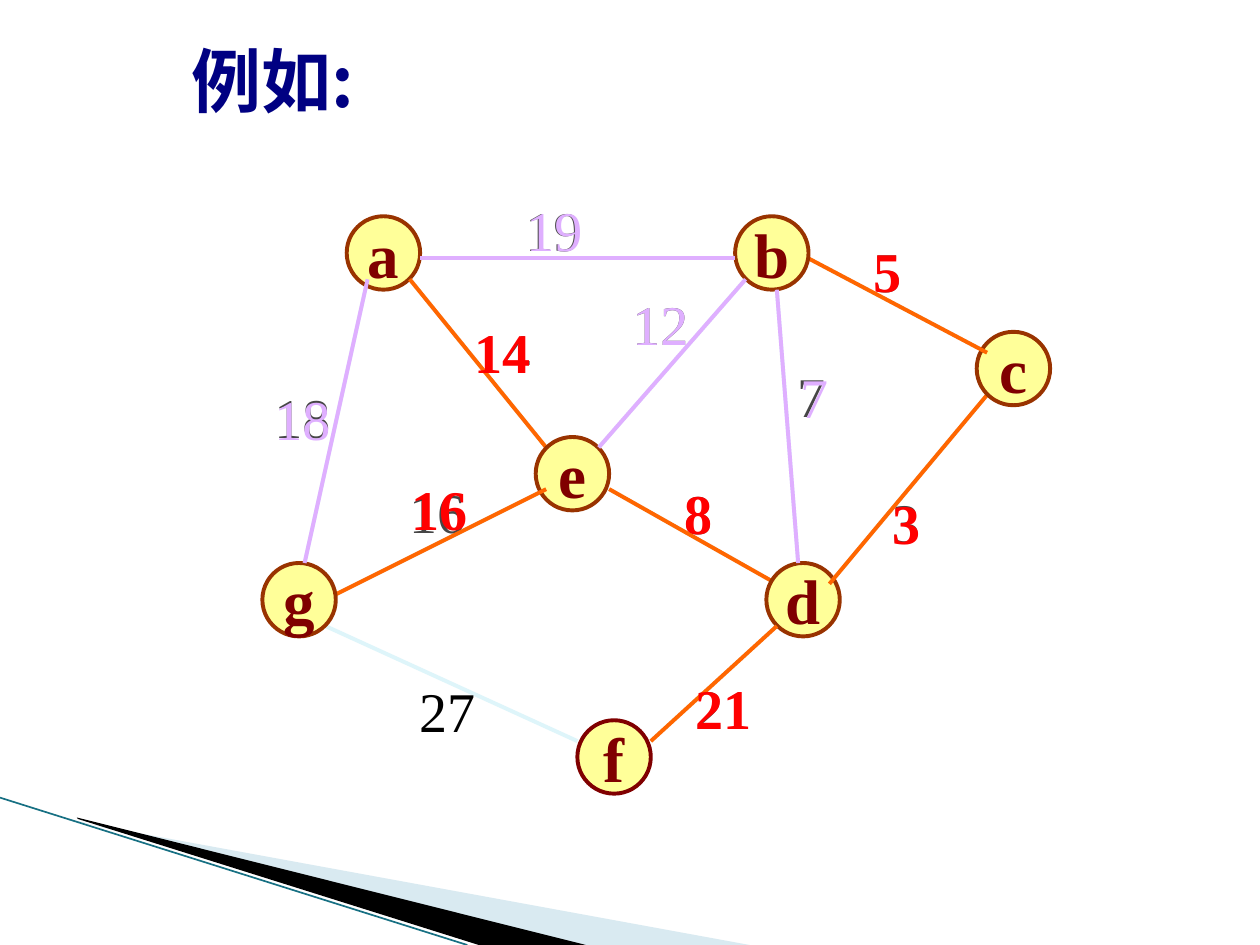
from dataclasses import dataclass

from lxml.etree import SubElement
from pptx import Presentation
from pptx.dml.color import RGBColor
from pptx.enum.shapes import MSO_CONNECTOR, MSO_SHAPE
from pptx.enum.text import MSO_ANCHOR, MSO_AUTO_SIZE, PP_ALIGN
from pptx.oxml.ns import qn
from pptx.util import Cm, Pt

BLACK = RGBColor(0x00, 0x00, 0x00)
GREY = RGBColor(0x46, 0x46, 0x46)
RED = RGBColor(0xFF, 0x00, 0x00)
ORANGE = RGBColor(0xFF, 0x66, 0x00)
PURPLE = RGBColor(0xDF, 0xAF, 0xFF)
PALE_CYAN = RGBColor(0xDE, 0xF5, 0xFA)
YELLOW = RGBColor(0xFF, 0xFF, 0x99)
BROWN = RGBColor(0x99, 0x33, 0x00)
MAROON = RGBColor(0x80, 0x00, 0x00)
NAVY = RGBColor(0x00, 0x00, 0x82)
PALE_BLUE = RGBColor(0xA0, 0xCB, 0xDC)
TEAL = RGBColor(0x17, 0x70, 0x83)

SERIF = "Times New Roman"
NODE_SIZE = 1.48
LABEL_HEIGHT = 1.6
LABEL_WIDTHS = {1: 1.06, 2: 1.65}
EDGE_WIDTH = 2.25

Point = tuple[float, float]


@dataclass(frozen=True)
class Node:
    name: str
    corner: Point
    outline: RGBColor = BROWN


@dataclass(frozen=True)
class Edge:
    start: Point
    end: Point
    weight: str
    label_at: Point
    shift: Point = (0, 0)
    label_color: RGBColor = GREY


NODES = [
    Node("a", (6.99, 4.36)),
    Node("e", (10.8, 8.81)),
    Node("d", (15.45, 11.35)),
    Node("c", (19.69, 6.69)),
    Node("b", (14.82, 4.36)),
    Node("g", (5.29, 11.35)),
    Node("f", (11.64, 14.52), MAROON),
]
TREE_EDGES = [
    Edge((8.26, 5.63), (11.01, 9.02), "14", (9.32, 6.27)),
    Edge((12.28, 9.86), (15.66, 11.77), "8", (13.54, 9.53)),
    Edge((19.9, 7.96), (16.72, 11.77), "3", (17.73, 9.7), (0.02, 0.03)),
    Edge((16.3, 5.21), (19.9, 7.11), "5", (17.35, 4.65)),
    Edge((6.77, 11.98), (11.01, 9.86), "16", (8, 9.5), (0.05, -0.05)),
    Edge((15.66, 12.62), (13.12, 14.94), "21", (13.77, 13.46)),
]
REJECTED_EDGES = [
    Edge((15.66, 5.84), (16.09, 11.35), "7", (15.82, 7.16), (0.06, 0.03)),
    Edge((15.03, 5.63), (12.07, 9.02), "12", (12.5, 5.72)),
    Edge((7.41, 5.63), (6.14, 11.35), "18", (5.28, 7.59), (0, 0.03)),
    Edge((8.47, 5.21), (14.82, 5.21), "19", (10.34, 3.81), (0.02, 0)),
]
UNUSED_EDGE = Edge((6.56, 12.62), (11.64, 14.94), "27", (8.2, 13.51), label_color=BLACK)


def set_attributes(target, values: dict) -> None:
    for name, value in values.items():
        setattr(target, name, value)


def write_text(shape, text: str, size: float, color: RGBColor, bold: bool,
               font_name: str = SERIF) -> None:
    shape.text_frame.word_wrap = False
    run = shape.text_frame.paragraphs[0].add_run()
    run.text = text
    set_attributes(run.font, {"size": Pt(size), "bold": bold, "name": font_name})
    run.font.color.rgb = color
    SubElement(run.font._element, qn("a:ea"), typeface=font_name)


def add_text(slide, text: str, corner: Point, extent: Point, size: float,
             color: RGBColor, bold: bool = False, font_name: str = SERIF) -> None:
    shape = slide.shapes.add_textbox(*map(Cm, corner + extent))
    write_text(shape, text, size, color, bold, font_name)
    shape.text_frame.auto_size = MSO_AUTO_SIZE.SHAPE_TO_FIT_TEXT


def add_weight(slide, edge: Edge, color: RGBColor, bold: bool = False,
               shift: Point = (0, 0)) -> None:
    corner = (edge.label_at[0] + shift[0], edge.label_at[1] + shift[1])
    extent = (LABEL_WIDTHS[len(edge.weight)], LABEL_HEIGHT)
    add_text(slide, edge.weight, corner, extent, 32, color, bold)


def add_line(slide, start: Point, end: Point, color: RGBColor,
             width: float = EDGE_WIDTH) -> None:
    connector = slide.shapes.add_connector(MSO_CONNECTOR.STRAIGHT, *map(Cm, start + end))
    connector.line.color.rgb = color
    connector.line.width = Pt(width)
    SubElement(connector._element.spPr, qn("a:effectLst"))


def add_node(slide, node: Node) -> None:
    shape = slide.shapes.add_shape(
        MSO_SHAPE.OVAL, *map(Cm, node.corner + (NODE_SIZE, NODE_SIZE)))
    shape.shadow.inherit = False
    shape.fill.solid()
    shape.fill.fore_color.rgb = YELLOW
    shape.line.color.rgb = node.outline
    shape.line.width = Pt(EDGE_WIDTH)
    write_text(shape, node.name, 36, MAROON, True)
    shape.text_frame.vertical_anchor = MSO_ANCHOR.MIDDLE
    shape.text_frame.paragraphs[0].alignment = PP_ALIGN.CENTER


def add_wedge(slide, points: list[Point], color: RGBColor, opacity: int = 100) -> None:
    corners = [(Cm(x), Cm(y)) for x, y in points]
    builder = slide.shapes.build_freeform(*corners[0])
    builder.add_line_segments(corners[1:], close=True)
    shape = builder.convert_to_shape()
    shape.shadow.inherit = False
    shape.fill.solid()
    shape.fill.fore_color.rgb = color
    shape.line.fill.background()
    if opacity < 100:
        color_element = shape._element.spPr.find(qn("a:solidFill"))[0]
        SubElement(color_element, qn("a:alpha"), val=str(opacity * 1000))


def main() -> None:
    presentation = Presentation()
    set_attributes(presentation, {"slide_width": Cm(25.4), "slide_height": Cm(19.05)})
    slide = presentation.slides.add_slide(presentation.slide_layouts[6])

    add_wedge(slide, [(1.4, 16.54), (15.11, 19.05), (11.58, 19.05), (1.4, 16.51)],
              PALE_BLUE, 40)
    add_wedge(slide, [(1.55, 16.48), (11.81, 19.05), (9.65, 19.05), (1.57, 16.51)], BLACK)
    add_line(slide, (0, 16.08), (9.42, 19.05), TEAL, 0.95)

    all_edges = TREE_EDGES + REJECTED_EDGES + [UNUSED_EDGE]
    for edge in all_edges:
        add_line(slide, edge.start, edge.end, PALE_CYAN)
    for edge in all_edges:
        add_weight(slide, edge, edge.label_color)

    for node, edge in zip(NODES, TREE_EDGES):
        add_node(slide, node)
        add_line(slide, edge.start, edge.end, ORANGE)
    add_node(slide, NODES[-1])
    for edge in TREE_EDGES:
        add_weight(slide, edge, RED, True, edge.shift)

    add_text(slide, "例如:", (3.61, 0.64), (4.04, 1.96), 40, NAVY, True, "Noto Sans CJK SC")

    for edge in REJECTED_EDGES:
        add_line(slide, edge.start, edge.end, PURPLE)
    for edge in REJECTED_EDGES:
        add_weight(slide, edge, PURPLE, shift=edge.shift)

    presentation.save("out.pptx")


if __name__ == "__main__":
    main()
